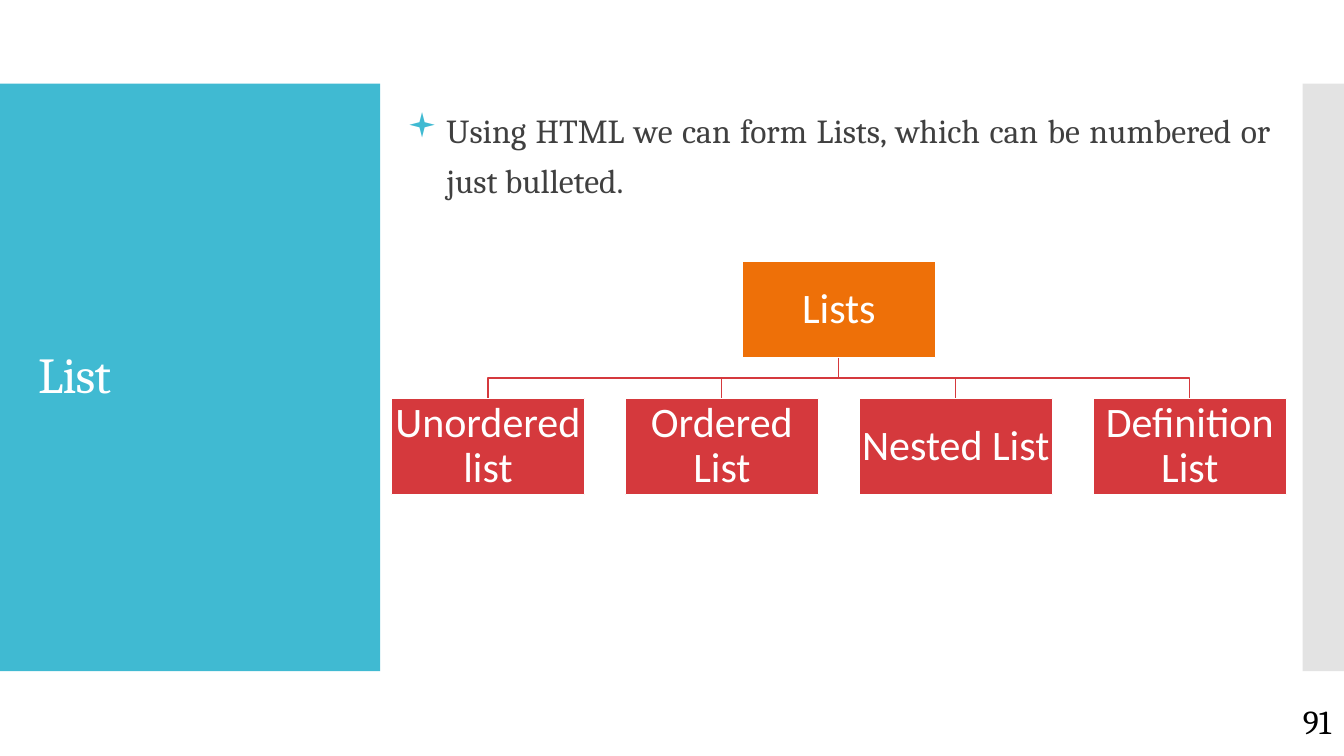
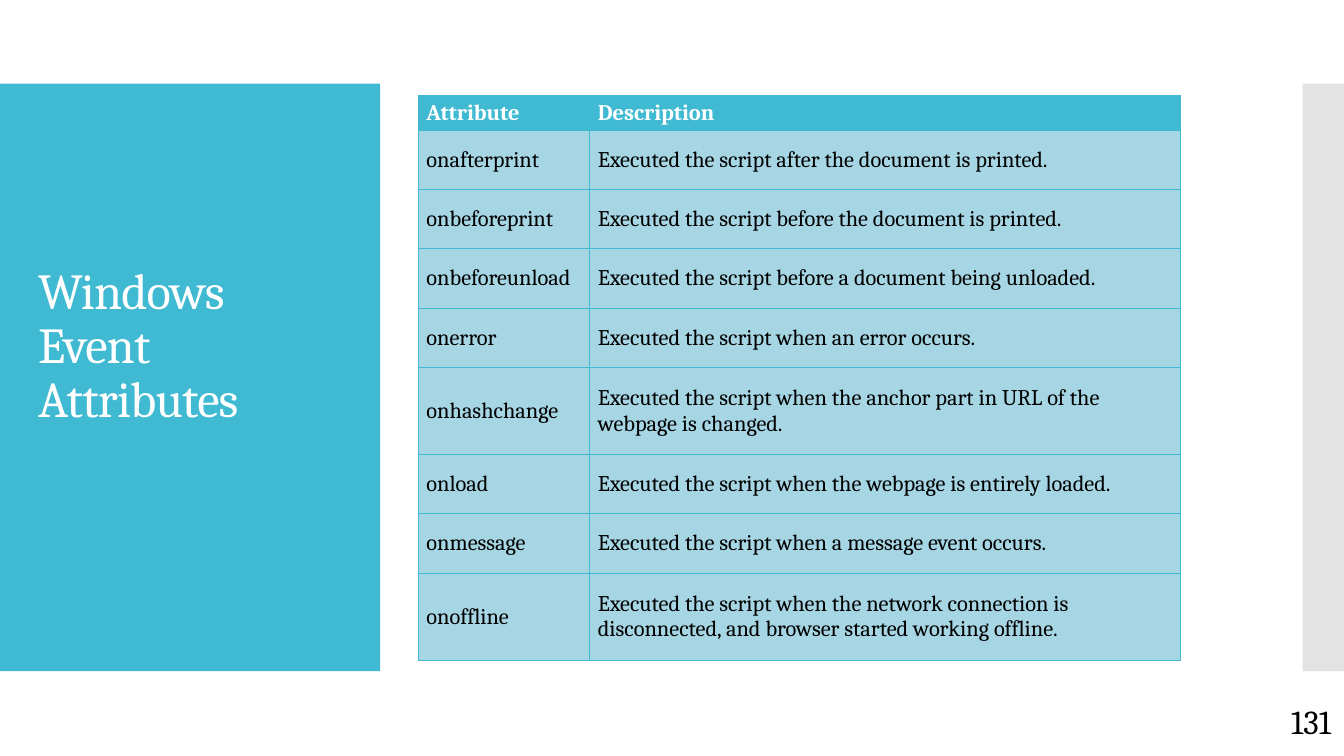
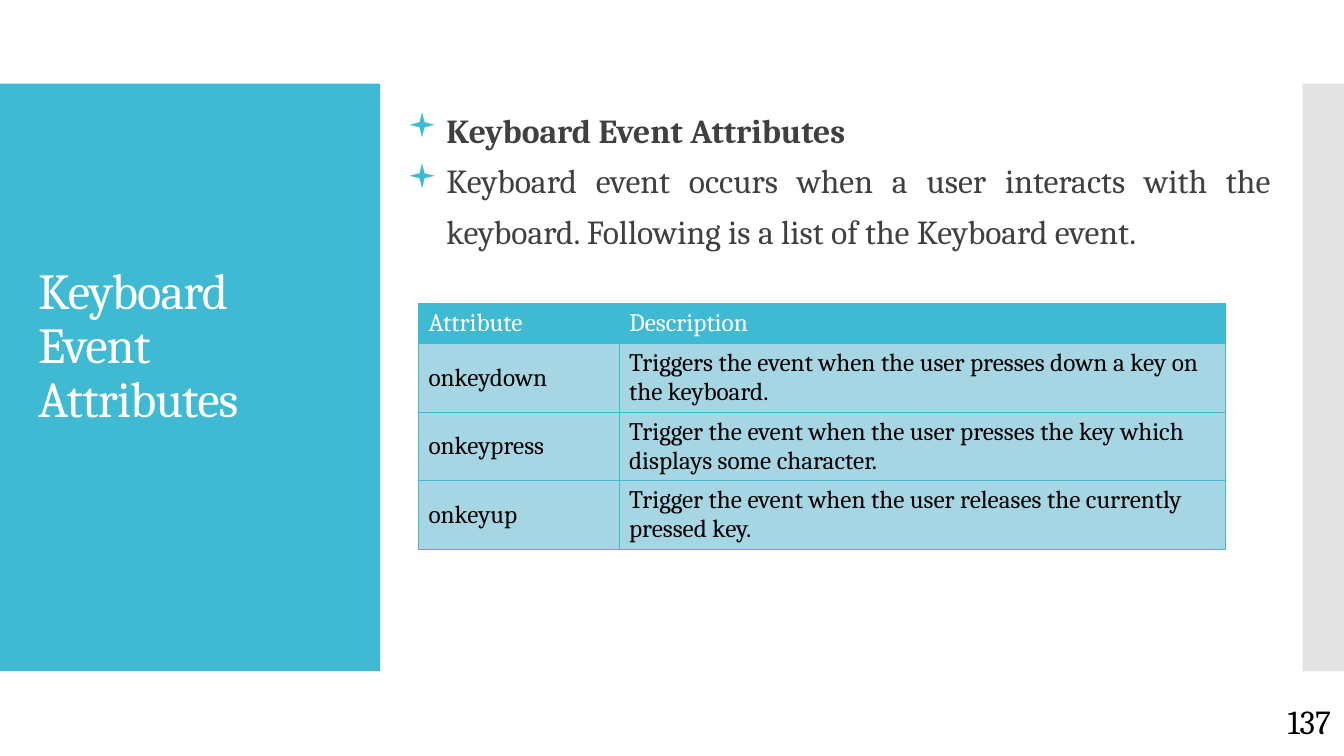
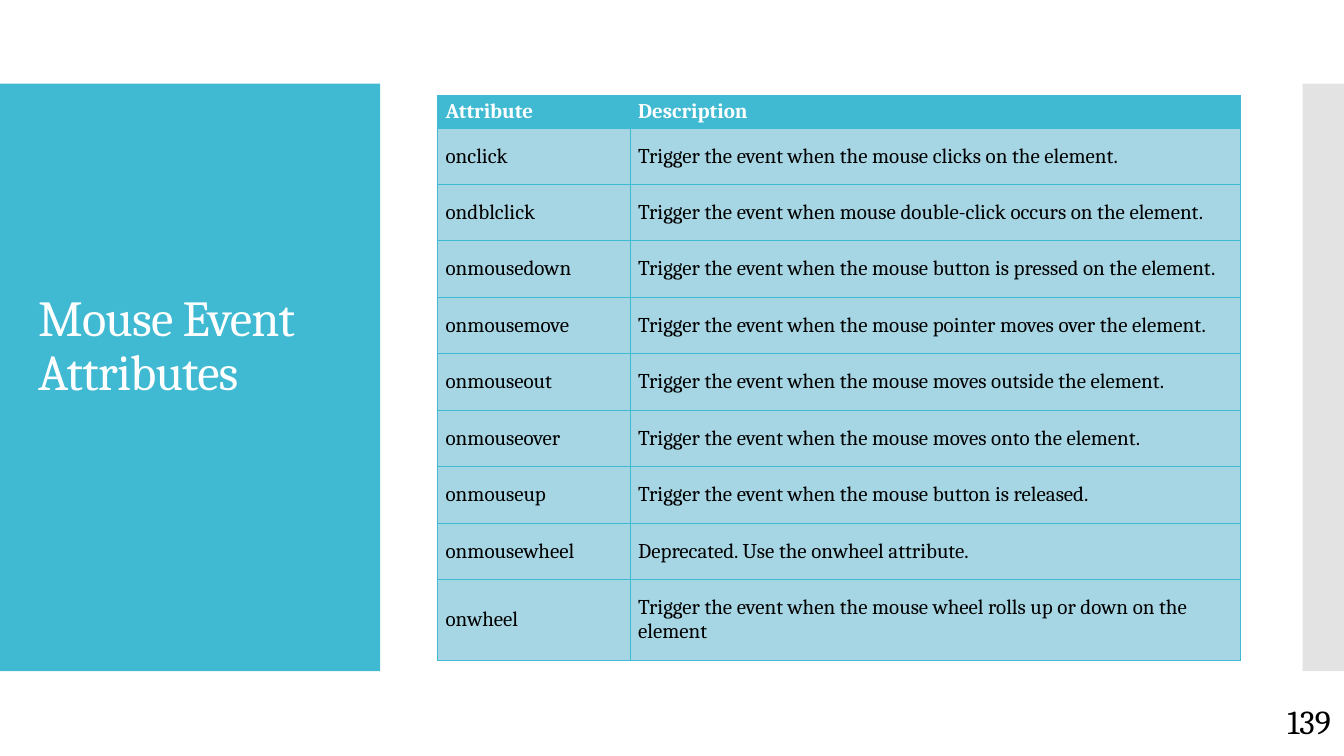
from lxml import etree
from pptx import Presentation
from pptx.dml.color import RGBColor
from pptx.enum.shapes import MSO_SHAPE
from pptx.enum.text import MSO_ANCHOR, PP_ALIGN
from pptx.oxml.ns import qn
from pptx.util import Inches, Pt

TEAL, PALE_TEAL, GREY = "40BAD2", "A6D5E3", "C8C8C8"
ORANGE, RED = "EE7008", "D5393D"
WHITE, BLACK, DARK = "FFFFFF", "000000", "404040"
SERIF, SANS = "Cambria", "Calibri"

BAND_TOP, BAND_HEIGHT = 0.83, 5.83
BODY_BOX = (3.94, 0.94, 8.76, 5.6)
TITLE_LINE = 0.6  # space kept free below a raised title

# Each table: left, top, column widths, heights (header, row, tall row),
# numbers of the tall rows, text size, cell margins, bold header, rows.
WINDOW_EVENTS = dict(
    left=4.15, top=0.95, columns=(1.7, 5.86), heights=(0.34, 0.59, 0.86),
    tall=(5, 8), size=16, margins=(0.08, 0.03), bold_header=True,
    rows=[
        ("Attribute", "Description"),
        ("onafterprint", "Executed the script after the document is printed."),
        ("onbeforeprint", "Executed the script before the document is printed."),
        ("onbeforeunload", "Executed the script before a document being unloaded."),
        ("onerror", "Executed the script when an error occurs."),
        ("onhashchange", "Executed the script when the anchor part in URL of the webpage is changed."),
        ("onload", "Executed the script when the webpage is entirely loaded."),
        ("onmessage", "Executed the script when a message event occurs."),
        ("onoffline", "Executed the script when the network connection is disconnected, "
                      "and browser started working offline."),
    ])
KEYBOARD_EVENTS = dict(
    left=4.15, top=3.01, columns=(1.99, 6.01), heights=(0.4, 0.68, 0.68),
    tall=(), size=18, margins=(0.1, 0.03), bold_header=False,
    rows=[
        ("Attribute", "Description"),
        ("onkeydown", "Triggers the event when the user presses down a key on the keyboard."),
        ("onkeypress", "Trigger the event when the user presses the key which displays some character."),
        ("onkeyup", "Trigger the event when the user releases the currently pressed key."),
    ])
MOUSE_EVENTS = dict(
    left=4.34, top=0.95, columns=(1.91, 6.05), heights=(0.32, 0.56, 0.8),
    tall=(9,), size=15, margins=(0.08, 0.03), bold_header=True,
    rows=[
        ("Attribute", "Description"),
        ("onclick", "Trigger the event when the mouse clicks on the element."),
        ("ondblclick", "Trigger the event when mouse double-click occurs on the element."),
        ("onmousedown", "Trigger the event when the mouse button is pressed on the element."),
        ("onmousemove", "Trigger the event when the mouse pointer moves over the element."),
        ("onmouseout", "Trigger the event when the mouse moves outside the element."),
        ("onmouseover", "Trigger the event when the mouse moves onto the element."),
        ("onmouseup", "Trigger the event when the mouse button is released."),
        ("onmousewheel", "Deprecated. Use the onwheel attribute."),
        ("onwheel", "Trigger the event when the mouse wheel rolls up or down on the element"),
    ])
LIST_TREE = ("Lists", ["Unordered list", "Ordered List", "Nested List", "Definition List"])

# Bullets are (text, bold) pairs.
SLIDES = [
    dict(title="List", number="91", raised=False, tree=LIST_TREE,
         bullets=[("Using HTML we can form Lists, which can be numbered or just bulleted.", False)]),
    dict(title="Windows Event Attributes", number="131", raised=True, table=WINDOW_EVENTS),
    dict(title="Keyboard Event Attributes", number="137", raised=True, table=KEYBOARD_EVENTS,
         bullets=[("Keyboard Event Attributes", True),
                  ("Keyboard event occurs when a user interacts with the keyboard. "
                   "Following is a list of the Keyboard event.", False)]),
    dict(title="Mouse Event Attributes", number="139", raised=True, table=MOUSE_EVENTS),
]


def color(value):
    return RGBColor.from_string(value)


def inches(values):
    return [Inches(value) for value in values]


def style_runs(paragraph, size, text_color, font=SERIF, bold=False):
    for run in paragraph.runs:
        run.font.name = font
        run.font.size = Pt(size)
        run.font.bold = bold
        run.font.color.rgb = color(text_color)


def set_outline(shape, outline):
    shape.line.color.rgb = color(outline)
    shape.line.width = Pt(0.85)


def add_rectangle(slide, box, fill, outline=None):
    shape = slide.shapes.add_shape(MSO_SHAPE.RECTANGLE, *inches(box))
    shape.shadow.inherit = False
    shape.fill.solid()
    shape.fill.fore_color.rgb = color(fill)
    if outline:
        set_outline(shape, outline)
    else:
        shape.line.fill.background()
    return shape


def add_text_box(slide, box, anchor=MSO_ANCHOR.MIDDLE):
    frame = slide.shapes.add_textbox(*inches(box)).text_frame
    frame.word_wrap = True
    frame.vertical_anchor = anchor
    return frame


def add_frame(slide, title, number, raised):
    """Draw the bands, title and page number that every slide has."""
    add_rectangle(slide, (0, BAND_TOP, 3.77, BAND_HEIGHT), TEAL)
    strip = add_rectangle(slide, (12.92, BAND_TOP, 0.42, BAND_HEIGHT), GREY)
    strip_color = strip.fill._xPr.find(qn("a:solidFill"))[0]
    etree.SubElement(strip_color, qn("a:alpha"), val="50000")

    frame = add_text_box(slide, (0.28, 1.23, 3.22, 5.03))
    if raised:
        frame.margin_bottom = Inches(0.05 + TITLE_LINE)
    frame.text = title
    paragraph = frame.paragraphs[0]
    paragraph.line_spacing = 0.9
    style_runs(paragraph, 36, WHITE)
    paragraph.runs[0].font._element.set("spc", "-60")

    frame = add_text_box(slide, (11.63, 6.95, 1.67, 0.4))
    frame.text = number
    frame.paragraphs[0].alignment = PP_ALIGN.RIGHT
    style_runs(frame.paragraphs[0], 24, BLACK)


def add_bullets(slide, bullets):
    frame = add_text_box(slide, BODY_BOX, MSO_ANCHOR.TOP)
    for index, (text, bold) in enumerate(bullets):
        paragraph = frame.add_paragraph() if index else frame.paragraphs[0]
        paragraph.text = text
        paragraph.alignment = PP_ALIGN.JUSTIFY
        paragraph.line_spacing = 1.25
        properties = paragraph._p.get_or_add_pPr()
        properties.set("marL", str(Inches(0.39)))
        properties.set("indent", str(-Inches(0.39)))
        bullet_color = etree.SubElement(properties, qn("a:buClr"))
        etree.SubElement(bullet_color, qn("a:srgbClr"), val=TEAL)
        etree.SubElement(properties, qn("a:buFont"), typeface="Wingdings", charset="2")
        etree.SubElement(properties, qn("a:buChar"), char="▪")
        style_runs(paragraph, 24, DARK, bold=bold)


def add_branch(slide, points):
    """Draw an open, unfilled line with corners through the points."""
    start, *others = [inches(point) for point in points]
    builder = slide.shapes.build_freeform(*start)
    builder.add_line_segments(others, close=False)
    branch = builder.convert_to_shape()
    branch.shadow.inherit = False
    branch.fill.background()
    set_outline(branch, RED)


def add_node(slide, text, box, fill):
    node = add_rectangle(slide, box, fill, WHITE)
    frame = node.text_frame
    frame.word_wrap = True
    frame.vertical_anchor = MSO_ANCHOR.MIDDLE
    frame.margin_left = frame.margin_right = Inches(0.02)
    frame.margin_top = frame.margin_bottom = Inches(0.02)
    frame.text = text
    paragraph = frame.paragraphs[0]
    paragraph.alignment = PP_ALIGN.CENTER
    paragraph.line_spacing = 0.9
    style_runs(paragraph, 30, WHITE, SANS)


def add_tree(slide, tree):
    """Draw a root box over a row of child boxes, with a branch to each."""
    root, children = tree
    width, height, pitch = 1.92, 0.96, 2.32
    center, root_top, child_top = 8.32, 2.59, 3.95
    root_bottom = root_top + height
    bend = (root_bottom + child_top) / 2
    middles = [center + (index - (len(children) - 1) / 2) * pitch
               for index in range(len(children))]
    for middle in middles:
        add_branch(slide, [(center, root_bottom), (center, bend),
                           (middle, bend), (middle, child_top)])
    add_node(slide, root, (center - width / 2, root_top, width, height), ORANGE)
    for text, middle in zip(children, middles):
        add_node(slide, text, (middle - width / 2, child_top, width, height), RED)


def set_borders(cell):
    properties = cell._tc.get_or_add_tcPr()
    for side in ("lnL", "lnR", "lnT", "lnB"):
        border = etree.SubElement(properties, qn("a:" + side), w=str(Pt(0.75)))
        fill = etree.SubElement(border, qn("a:solidFill"))
        etree.SubElement(fill, qn("a:srgbClr"), val=TEAL)


def add_event_table(slide, left, top, columns, heights, tall, size, margins, bold_header, rows):
    header_height, row_height, tall_height = heights
    row_heights = [header_height] + [tall_height if index in tall else row_height
                                     for index in range(1, len(rows))]
    box = (left, top, sum(columns), sum(row_heights))
    table = slide.shapes.add_table(len(rows), len(columns), *inches(box)).table
    table.horz_banding = False
    for column, width in zip(table.columns, columns):
        column.width = Inches(width)
    for row_index, texts in enumerate(rows):
        is_header = row_index == 0
        table.rows[row_index].height = Inches(row_heights[row_index])
        for column_index, text in enumerate(texts):
            cell = table.cell(row_index, column_index)
            set_borders(cell)
            cell.fill.solid()
            cell.fill.fore_color.rgb = color(TEAL if is_header else PALE_TEAL)
            cell.vertical_anchor = MSO_ANCHOR.MIDDLE
            cell.margin_left = cell.margin_right = Inches(margins[0])
            cell.margin_top = cell.margin_bottom = Inches(margins[1])
            cell.text = text
            style_runs(cell.text_frame.paragraphs[0], size, WHITE if is_header else BLACK,
                       bold=is_header and bold_header)


def main():
    presentation = Presentation()
    presentation.slide_width = Inches(13.33)
    presentation.slide_height = Inches(7.5)
    for content in SLIDES:
        slide = presentation.slides.add_slide(presentation.slide_layouts[6])
        add_frame(slide, content["title"], content["number"], content["raised"])
        if "bullets" in content:
            add_bullets(slide, content["bullets"])
        if "tree" in content:
            add_tree(slide, content["tree"])
        if "table" in content:
            add_event_table(slide, **content["table"])
    presentation.save("out.pptx")


if __name__ == "__main__":
    main()
